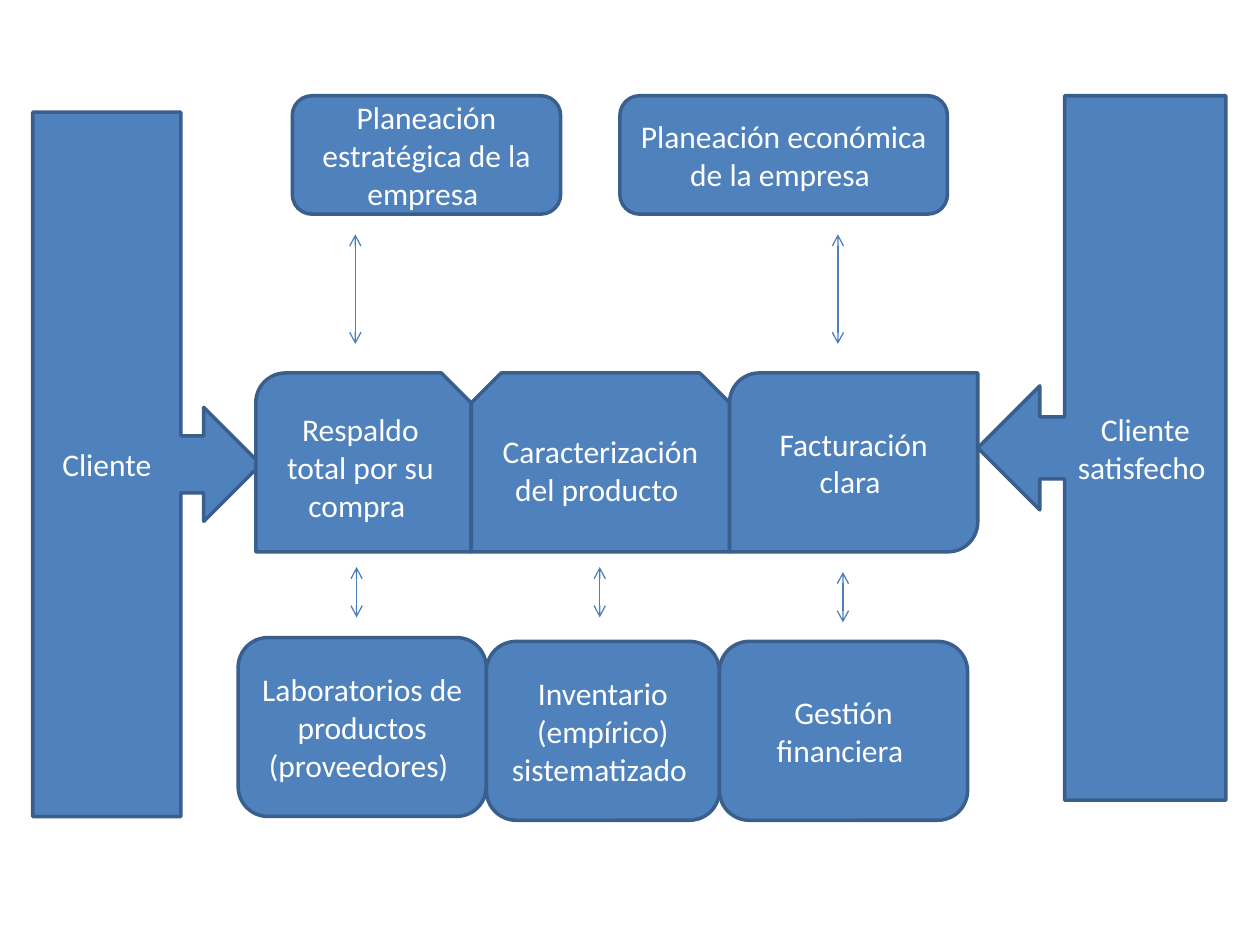
from pptx import Presentation
from pptx import util as u
from pptx.dml.color import RGBColor
from pptx.enum import shapes, text
from pptx.oxml.ns import qn
from lxml import etree

BLUE = RGBColor(0x4F, 0x81, 0xBD)
EDGE = RGBColor(0x3A, 0x5F, 0x8C)
LINK = RGBColor(0x4B, 0x7E, 0xBC)
WHITE = RGBColor(0xFF, 0xFF, 0xFF)
KIND = shapes.MSO_SHAPE
COLS, ROWS = 100, 75


class Map:
    """Process map drawn on a grid of COLS by ROWS."""
    font = "Calibri"
    size = u.Pt(18)

    def __init__(self, deck):
        self.wide = deck.slide_width / COLS
        self.high = deck.slide_height / ROWS
        self.slide = deck.slides.add_slide(deck.slide_layouts[6])

    def x(self, col):
        return round(col * self.wide)

    def y(self, row):
        return round(row * self.high)

    def box(self, kind, col, row, width, height, *lines):
        box = self.slide.shapes.add_shape(
            kind, self.x(col), self.y(row), self.x(width), self.y(height))
        box.shadow.inherit = False
        box.fill.solid()
        box.fill.fore_color.rgb = BLUE
        box.line.color.rgb = EDGE
        box.line.width = u.Pt(2)
        frame = box.text_frame
        frame.word_wrap = True
        frame.vertical_anchor = text.MSO_ANCHOR.MIDDLE
        for i, line in enumerate(lines):
            para = frame.add_paragraph() if i else frame.paragraphs[0]
            para.alignment = text.PP_ALIGN.CENTER
            run = para.add_run()
            run.text = line
            run.font.name = self.font
            run.font.size = self.size
            run.font.color.rgb = WHITE

    def row(self, col, height, cells):
        """Boxes set side by side from a starting column."""
        for kind, top, width, *lines in cells:
            self.box(kind, col, top, width, height, *lines)
            col += width

    def link(self, col, top, end):
        """Vertical arrow with a head at both ends."""
        link = self.slide.shapes.add_connector(
            shapes.MSO_CONNECTOR.STRAIGHT,
            self.x(col), self.y(top), self.x(col), self.y(end))
        link.line.color.rgb = LINK
        link.line.width = u.Pt(0.75)
        line = link.line._get_or_add_ln()
        for tag in ("a:headEnd", "a:tailEnd"):
            etree.SubElement(line, qn(tag), type="arrow")
        etree.SubElement(link._element.spPr, qn("a:effectLst"))


def main():
    deck = Presentation()
    deck.slide_width, deck.slide_height = u.Inches(10), u.Inches(7.5)
    chart = Map(deck)
    round_box = KIND.ROUNDED_RECTANGLE

    chart.box(KIND.RIGHT_ARROW_CALLOUT, 2.6, 8.9, 18.1, 55.9, "Cliente")
    chart.box(round_box, 23.2, 7.6, 21.3, 9.4,
              "Planeación estratégica de la empresa ")
    chart.box(round_box, 49.2, 7.6, 26, 9.4,
              "Planeación económica de la empresa ")
    chart.box(KIND.LEFT_ARROW_CALLOUT, 77.6, 7.6, 19.7, 55.9,
              "Cliente satisfecho ")

    chart.row(20.3, 14.2, [
        (KIND.SNIP_ROUND_RECTANGLE, 29.6, 17.1,
         "Respaldo total por su compra "),
        (KIND.SNIP_2_SAME_RECTANGLE, 29.6, 20.5,
         "Caracterización del producto "),
        (KIND.ROUND_2_DIAG_RECTANGLE, 29.6, 19.7, "Facturación clara "),
    ])
    chart.row(18.9, 14.2, [
        (round_box, 50.6, 19.7, "Laboratorios de productos (proveedores) "),
        (round_box, 50.9, 18.5, "Inventario (empírico)", "sistematizado "),
        (round_box, 50.9, 19.7, "Gestión financiera "),
    ])

    for col in (28.2, 66.5):
        chart.link(col, 18.6, 27.3)
    for col, top in ((28.3, 45), (66.9, 45.4), (47.6, 45)):
        chart.link(col, top, top + 4)

    deck.save("out.pptx")


if __name__ == "__main__":
    main()
